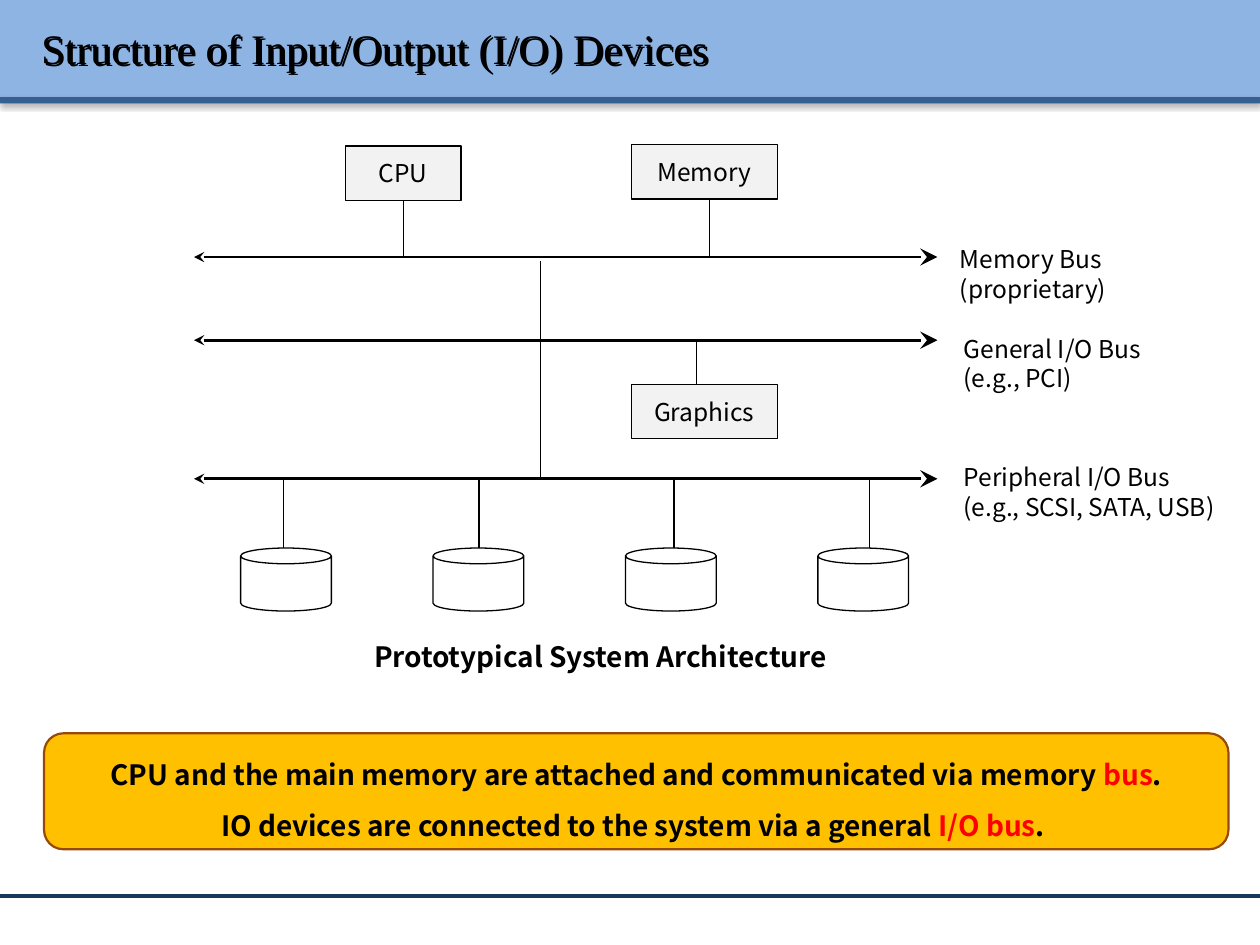
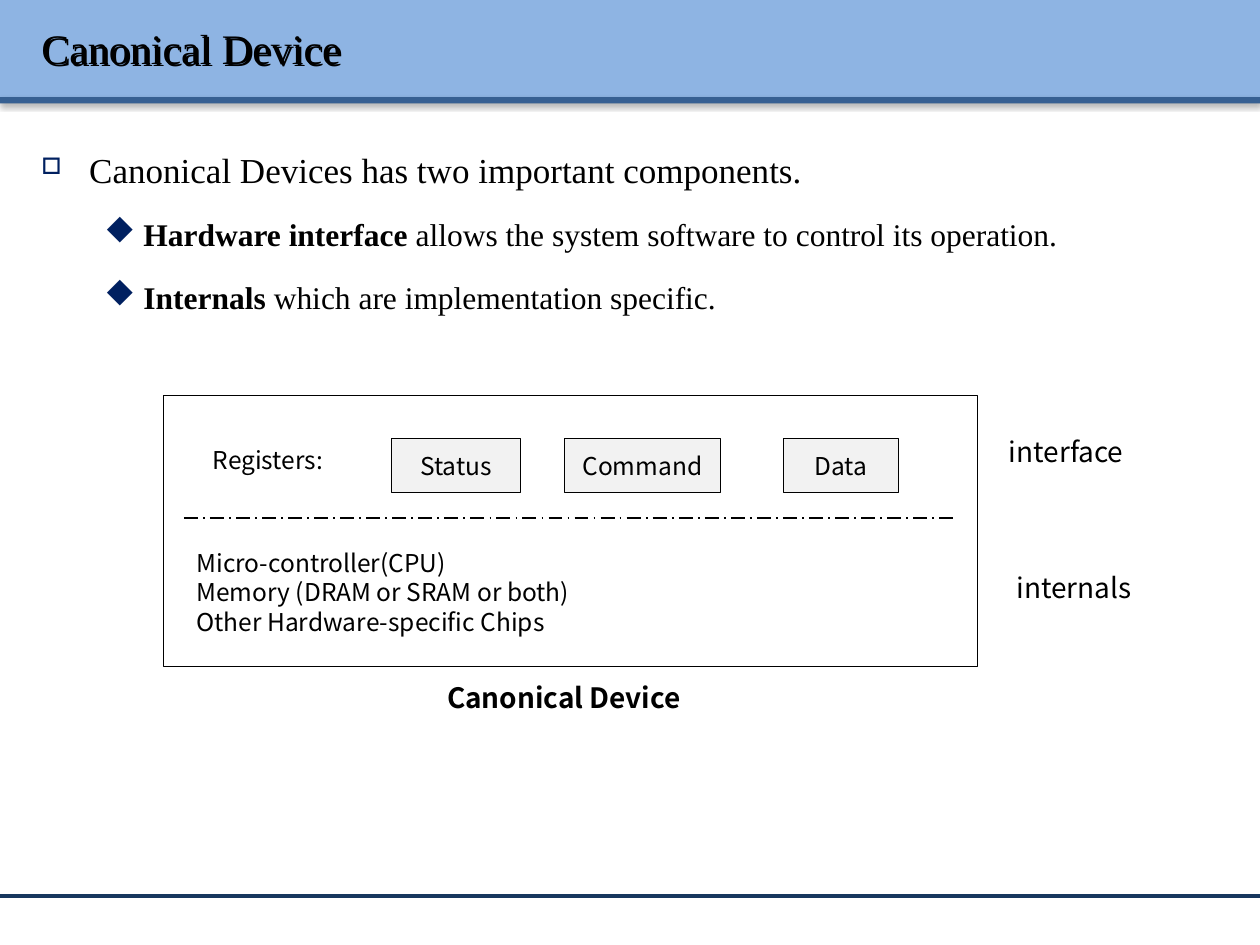
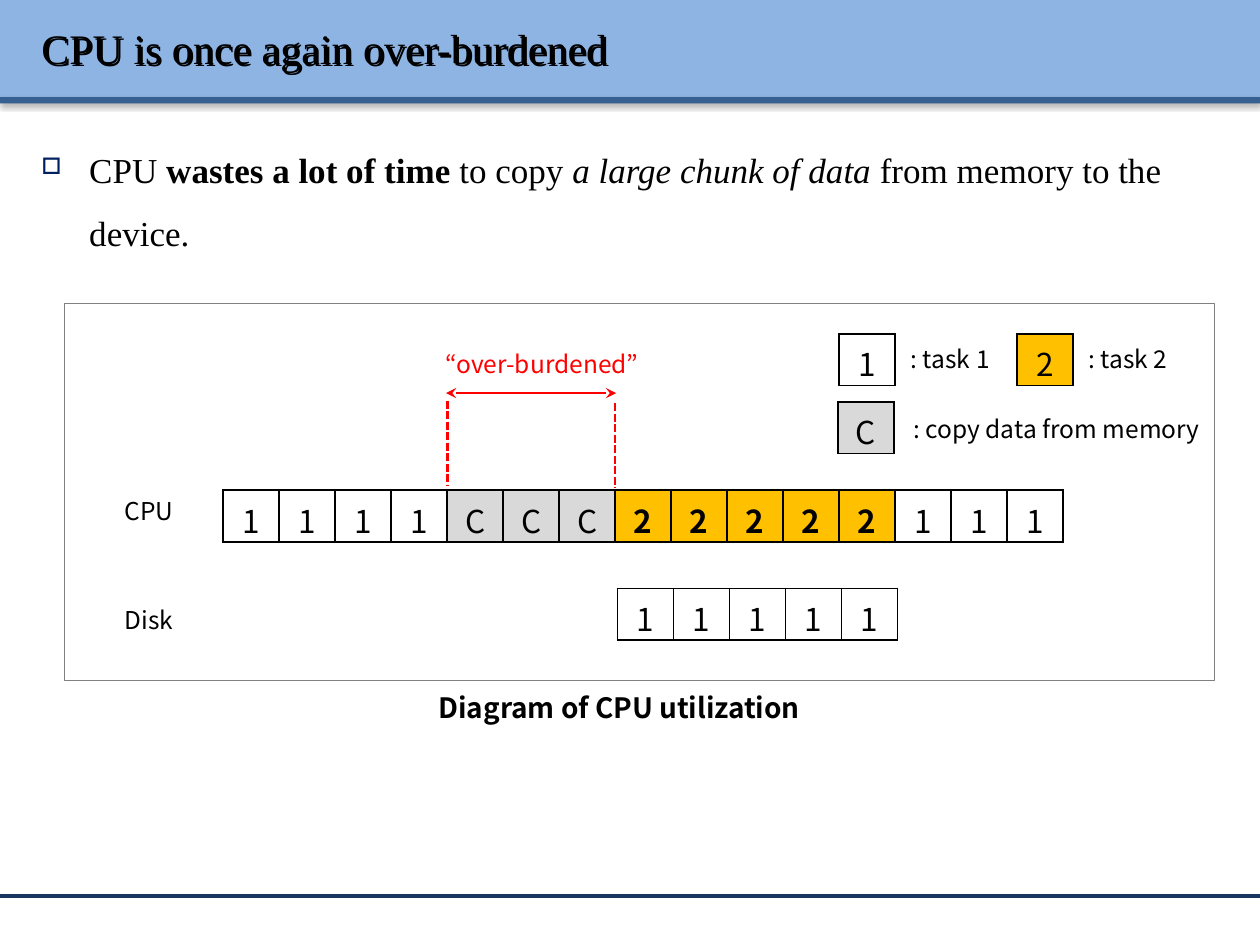
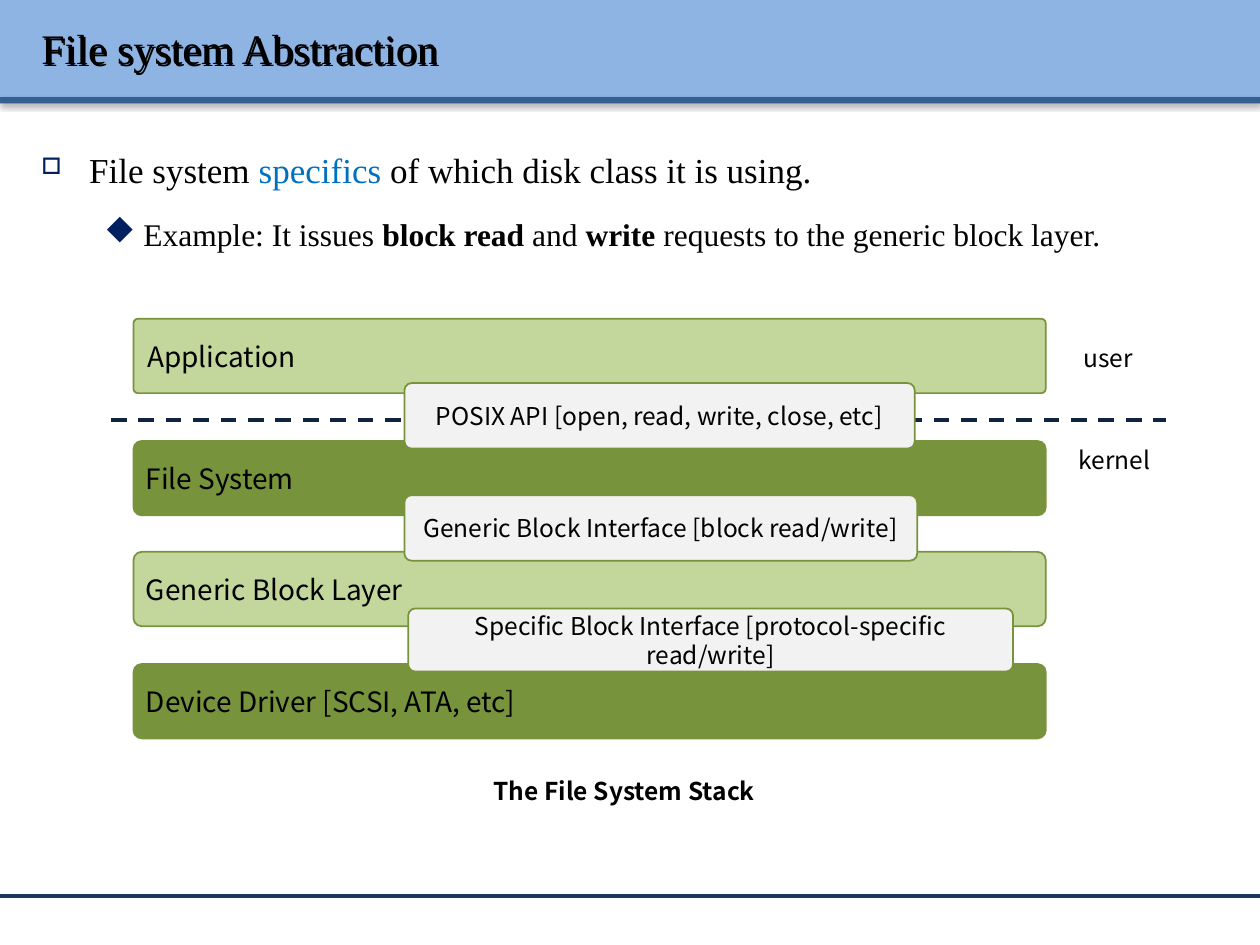
import lxml.etree
import pptx
import pptx.dml.color
import pptx.enum.dml
import pptx.enum.lang
import pptx.enum.shapes
import pptx.enum.text
import pptx.oxml
import pptx.oxml.ns
import pptx.util

Inches = pptx.util.Inches
Pt = pptx.util.Pt
SHAPE = pptx.enum.shapes.MSO_SHAPE
DASH = pptx.enum.dml.MSO_LINE
ALIGN = pptx.enum.text.PP_ALIGN
ANCHOR = pptx.enum.text.MSO_ANCHOR
ENGLISH = pptx.enum.lang.MSO_LANGUAGE_ID.ENGLISH_US
qn = pptx.oxml.ns.qn

SANS = "Noto Sans CJK KR"
SERIF = "Times New Roman"
SYMBOLS = "Wingdings"
COLORS = {
    "black": "000000",
    "white": "FFFFFF",
    "band": "8EB4E3",
    "band_edge": "376092",
    "footer": "17375E",
    "bullet": "002060",
    "box": "F2F2F2",
    "amber": "FFC000",
    "brown": "984807",
    "red": "FF0000",
    "blue": "0070C0",
    "copy": "D9D9D9",
    "frame": "808080",
    "light_green": "C3D69B",
    "green": "77933C",
    "boundary": "0F243E",
}
# Symbol font character (o: hollow square, u: diamond), size in percent,
# left margin, hanging indent, font size
LEVELS = [("o", 65, 0.38, 0.38, 20), ("u", 100, 0.81, 0.31, 18)]
TASK_FILLS = {"1": None, "2": "amber", "C": "copy"}
TASK_WIDTH = 6.67 / 15


def rgb(color):
    return pptx.dml.color.RGBColor.from_string(COLORS[color])


def add_xml(parent, tag, **attributes):
    return lxml.etree.SubElement(parent, qn(tag), {k: str(v) for k, v in attributes.items()})


def add_shadow(shape, blur, distance, angle, opacity):
    """Give a shape, or the text of an unfilled one, a shadow (points, degrees, percent)."""
    shape.shadow.inherit = False
    effects = shape._element.spPr.find(qn("a:effectLst"))
    shadow = add_xml(effects, "a:outerShdw", blurRad=Pt(blur), dist=Pt(distance),
                     dir=angle * 60000, algn="tl", rotWithShape=0)
    black = add_xml(shadow, "a:srgbClr", val=COLORS["black"])
    add_xml(black, "a:alpha", val=opacity * 1000)


def style_font(font, name, size, color, bold=False):
    font.name, font.size, font.bold = name, Pt(size), bold
    font.color.rgb = rgb(color)
    font.language_id = ENGLISH


def add_runs(paragraph, runs):
    """Add plain strings or (text, style) pairs; style may set bold, italic and color."""
    for part in [runs] if isinstance(runs, str) else runs:
        words, style = (part, {}) if isinstance(part, str) else part
        run = paragraph.add_run()
        run.text = words
        if "color" in style:
            run.font.color.rgb = rgb(style["color"])
        if "bold" in style:
            run.font.bold = style["bold"]
        if "italic" in style:
            run.font.italic = style["italic"]


def next_paragraph(frame, index):
    return frame.paragraphs[0] if index == 0 else frame.add_paragraph()


def write(frame, paragraphs, size, name=SANS, color="black", bold=False,
          align=ALIGN.LEFT, spacing=None):
    frame.word_wrap = True
    for index, runs in enumerate(paragraphs):
        paragraph = next_paragraph(frame, index)
        paragraph.alignment = align
        if spacing:
            paragraph.line_spacing = spacing
        style_font(paragraph.font, name, size, color, bold)
        add_runs(paragraph, runs)


def add_label(slide, at, *lines, size=14, **style):
    label = slide.shapes.add_textbox(*map(Inches, at))
    write(label.text_frame, lines, size, **style)
    label.text_frame.auto_size = pptx.enum.text.MSO_AUTO_SIZE.SHAPE_TO_FIT_TEXT


def add_caption(slide, at, words, size=16, align=ALIGN.CENTER):
    add_label(slide, at, words, size=size, bold=True, align=align)


def add_block(slide, kind, at, fill=None, line=None, width=0.75, corner=None):
    block = slide.shapes.add_shape(kind, *map(Inches, at))
    block.shadow.inherit = False
    if fill:
        block.fill.solid()
        block.fill.fore_color.rgb = rgb(fill)
    else:
        block.fill.background()
    if line:
        block.line.color.rgb = rgb(line)
        block.line.width = Pt(width)
    else:
        block.line.fill.background()
    if corner is not None:
        block.adjustments[0] = corner
    return block


def write_inside(block, paragraphs, size, side, **style):
    """Write vertically centred text with the given left and right inset."""
    frame = block.text_frame
    frame.vertical_anchor = ANCHOR.MIDDLE
    frame.margin_left = frame.margin_right = Inches(side)
    write(frame, paragraphs, size, **style)


def add_component(slide, at, name):
    component = add_block(slide, SHAPE.RECTANGLE, at, "box", "black")
    write_inside(component, [name], 14, 0, align=ALIGN.CENTER)
    return component


def add_line(slide, start, end, width, color="black", dash=None, arrows=False,
             tail_size="med"):
    line = slide.shapes.add_connector(pptx.enum.shapes.MSO_CONNECTOR.STRAIGHT,
                                      *map(Inches, start + end))
    line.line.color.rgb = rgb(color)
    line.line.width = Pt(width)
    if dash:
        line.line.dash_style = dash
    if arrows:
        stroke = line.line._get_or_add_ln()
        add_xml(stroke, "a:headEnd", type="stealth")
        add_xml(stroke, "a:tailEnd", type="stealth", w=tail_size, len=tail_size)
    add_xml(line._element.spPr, "a:effectLst")
    return line


def add_cell_borders(cell):
    properties = cell._tc.get_or_add_tcPr()
    for index, tag in enumerate(("a:lnL", "a:lnR", "a:lnT", "a:lnB")):
        border = add_xml(properties, tag, w=Pt(1))
        add_xml(add_xml(border, "a:solidFill"), "a:srgbClr", val=COLORS["black"])
        properties.insert(index, border)


def add_timeline(slide, left, top, tasks, bold_task=None):
    """Draw one table row with a cell for each character of tasks."""
    table = slide.shapes.add_table(1, len(tasks), Inches(left), Inches(top),
                                   Inches(TASK_WIDTH * len(tasks)), Inches(0.41)).table
    table.first_row = table.horz_banding = False
    for column, task in enumerate(tasks):
        table.columns[column].width = Inches(TASK_WIDTH)
        cell = table.cell(0, column)
        if TASK_FILLS[task]:
            cell.fill.solid()
            cell.fill.fore_color.rgb = rgb(TASK_FILLS[task])
        else:
            cell.fill.background()
        add_cell_borders(cell)
        write(cell.text_frame, [task], 18, bold=task == bold_task, align=ALIGN.CENTER)


def add_bullets(slide, *items):
    """Write the body text; each item is a (level, runs) pair."""
    body = slide.shapes.add_textbox(*map(Inches, (0.23, 0.96, 9.61, 4.6)))
    body.text_frame.word_wrap = True
    for index, (level, runs) in enumerate(items):
        character, percent, margin, hanging, size = LEVELS[level]
        paragraph = next_paragraph(body.text_frame, index)
        paragraph.level = level
        paragraph.line_spacing = 1.5
        paragraph.space_before = Pt(0.2 * size)
        properties = paragraph._p.get_or_add_pPr()
        properties.set("marL", str(Inches(margin)))
        properties.set("indent", str(-Inches(hanging)))
        add_xml(add_xml(properties, "a:buClr"), "a:srgbClr", val=COLORS["bullet"])
        add_xml(properties, "a:buSzPct", val=percent * 1000)
        add_xml(properties, "a:buFont", typeface=SYMBOLS, pitchFamily=2, charset=2)
        add_xml(properties, "a:buChar", char=character)
        style_font(paragraph.font, SERIF, size, "black")
        add_runs(paragraph, runs)


def add_titled_slide(deck, title):
    slide = deck.slides.add_slide(deck.slide_layouts[6])
    for top, height, color in ((0, 0.77, "band"), (0.77, 0.05, "band_edge")):
        band = add_block(slide, SHAPE.RECTANGLE, (0, top, 10, height), color)
        add_shadow(band, 3.1, 1.6, 90, 38)
    add_line(slide, (0, 7.11), (10, 7.11), 2, "footer")
    heading = slide.shapes.add_textbox(*map(Inches, (0.23, 0.06, 9.61, 0.64)))
    heading.text_frame.vertical_anchor = ANCHOR.MIDDLE
    write(heading.text_frame, [title], 24, name=SERIF)
    add_shadow(heading, 0, 1.5, 45, 100)
    return slide


def build_io_structure(deck):
    slide = add_titled_slide(deck, "Structure of Input/Output (I/O) Devices")
    memory_bus, general_bus, peripheral_bus = 2.04, 2.7, 3.8

    cpu = add_component(slide, (2.74, 1.16, 0.92, 0.43), "CPU")
    add_component(slide, (5.01, 1.15, 1.16, 0.43), "Memory")
    for y in (memory_bus, general_bus, peripheral_bus):
        add_line(slide, (1.54, y), (7.44, y), 1.5, arrows=True, tail_size="lg")

    cpu_link = add_line(slide, (3.2, 1.59), (3.2, 2.03), 0.5)
    cpu_link.begin_connect(cpu, 2)
    add_line(slide, (5.63, 1.59), (5.63, 2.03), 0.5)
    add_line(slide, (4.29, 2.07), (4.29, general_bus), 0.5)
    add_line(slide, (4.29, general_bus), (4.29, peripheral_bus), 1)
    add_line(slide, (5.53, general_bus), (5.53, 3.25), 0.5)
    add_component(slide, (5.01, 3.05, 1.16, 0.43), "Graphics")

    for disk in range(4):
        add_block(slide, SHAPE.CAN, (1.91 + 1.527 * disk, 4.35, 0.72, 0.5), "white", "black")
        link = 2.25 + 1.55 * disk
        add_line(slide, (link, peripheral_bus), (link, 4.35), 1)

    add_caption(slide, (2.87, 5.03, 3.88, 0.37), "Prototypical System Architecture",
                align=ALIGN.LEFT)
    add_label(slide, (7.52, 1.89, 1.6, 0.57), "Memory Bus", "(proprietary)")
    add_label(slide, (7.55, 2.6, 1.81, 0.57), "General I/O Bus", "(e.g., PCI)")
    add_label(slide, (7.55, 3.62, 2.2, 0.57), "Peripheral I/O Bus", "(e.g., SCSI, SATA, USB)")

    summary = add_block(slide, SHAPE.ROUNDED_RECTANGLE, (0.35, 5.82, 9.4, 0.92),
                        "amber", "brown", 1.25)
    red = {"color": "red"}
    write_inside(summary, [
        ["CPU and the main memory are attached and communicated via memory ", ("bus", red), "."],
        ["IO devices are connected to the system via a general ", ("I/O bus", red), ". "],
    ], 16, 0.12, bold=True, align=ALIGN.CENTER, spacing=1.5)


def build_canonical_device(deck):
    slide = add_titled_slide(deck, "Canonical Device")
    bold = {"bold": True}
    add_bullets(
        slide,
        (0, "Canonical Devices has two important components."),
        (1, [("Hardware interface", bold),
             " allows the system software to control its operation."]),
        (1, [("Internals", bold), " which are implementation specific."]),
    )
    add_block(slide, SHAPE.RECTANGLE, (1.3, 3.14, 6.46, 2.15), line="black")
    add_label(slide, (1.59, 3.48, 1.6, 0.34), "Registers:")
    for register, left, width in (("Status", 3.11, 1.02), ("Command", 4.48, 1.24),
                                  ("Data", 6.22, 0.91)):
        add_component(slide, (left, 3.48, width, 0.43), register)
    add_line(slide, (1.46, 4.11), (7.6, 4.11), 1, dash=DASH.LONG_DASH_DOT)
    add_label(slide, (1.46, 4.3, 4.25, 0.81), "Micro-controller(CPU)",
              "Memory (DRAM or SRAM or both)", "Other Hardware-specific Chips")
    add_label(slide, (7.91, 3.4, 1.6, 0.37), "interface", size=16)
    add_label(slide, (7.97, 4.48, 1.6, 0.37), "internals", size=16)
    add_caption(slide, (3.19, 5.35, 2.62, 0.37), "Canonical Device ")


def build_cpu_utilization(deck):
    slide = add_titled_slide(deck, "CPU is once again over-burdened")
    add_bullets(slide, (0, [
        "CPU ", ("wastes a lot of time ", {"bold": True}), "to copy ",
        ("a large chunk of data ", {"italic": True}), "from memory to the device.",
    ]))
    add_timeline(slide, 1.77, 3.89, "1111CCC22222111", bold_task="2")
    add_timeline(slide, 4.9, 4.67, "11111")
    add_label(slide, (0.89, 3.89, 0.8, 0.34), "CPU")
    add_label(slide, (0.89, 4.75, 0.8, 0.34), "Disk")

    for x, top in ((3.55, 3.18), (4.88, 3.2)):
        add_line(slide, (x, top), (x, top + 0.67), 1.5, "red", DASH.SQUARE_DOT)
    add_line(slide, (3.54, 3.12), (4.89, 3.12), 1.5, "red", arrows=True)
    add_label(slide, (3.44, 2.72, 1.8, 0.34), "“over-burdened”", color="red")

    add_timeline(slide, 6.66, 2.65, "1")
    add_label(slide, (7.13, 2.68, 1.34, 0.34), ": task 1")
    add_timeline(slide, 8.07, 2.65, "2")
    add_label(slide, (8.54, 2.68, 0.87, 0.34), ": task 2")
    add_timeline(slide, 6.65, 3.19, "C")
    add_label(slide, (7.15, 3.24, 2.66, 0.34), ": copy data from memory")
    add_block(slide, SHAPE.RECTANGLE, (0.51, 2.41, 9.13, 2.99), line="frame")
    add_caption(slide, (2.24, 5.43, 5.35, 0.37), "Diagram of CPU utilization")


def build_file_system(deck):
    slide = add_titled_slide(deck, "File system Abstraction")
    bold = {"bold": True}
    add_bullets(
        slide,
        (0, ["File system ", ("specifics", {"color": "blue"}),
             " of which disk class it is using."]),
        (1, ["Example: It issues ", ("block read ", bold), "and ", ("write", bold),
             " requests to the generic block layer."]),
    )
    layers = (
        ("Application", 2.53, "light_green", 0.06),
        ("File System", 3.5, "green", 0.11),
        ("Generic Block Layer", 4.38, "light_green", 0.11),
        ("Device Driver [SCSI, ATA, etc]", 5.27, "green", 0.11),
    )
    for name, top, fill, corner in layers:
        layer = add_block(slide, SHAPE.ROUNDED_RECTANGLE, (1.06, top, 7.24, 0.59),
                          fill, "green", 1, corner)
        write_inside(layer, [name], 16, 0.1 if name == "Application" else 0.08)

    add_line(slide, (0.88, 3.33), (9.25, 3.33), 2.25, "boundary", DASH.DASH)
    interfaces = (
        ("Specific Block Interface [protocol-specific read/write]", (3.24, 4.83, 4.8, 0.5)),
        ("Generic Block Interface [block read/write]", (3.21, 3.93, 4.07, 0.52)),
        ("POSIX API [open, read, write, close, etc]", (3.21, 3.04, 4.05, 0.52)),
    )
    for name, at in interfaces:
        interface = add_block(slide, SHAPE.ROUNDED_RECTANGLE, at, "box", "green", 1, 0.11)
        write_inside(interface, [name], 14, 0.08, align=ALIGN.CENTER)

    add_label(slide, (8.31, 2.67, 0.97, 0.34), "user", align=ALIGN.CENTER)
    add_label(slide, (8.36, 3.48, 0.97, 0.34), "kernel", align=ALIGN.CENTER)
    add_caption(slide, (2.24, 6.11, 5.43, 0.34), "The File System Stack", size=14)


def main():
    deck = pptx.Presentation()
    deck.slide_width, deck.slide_height = Inches(10), Inches(7.5)
    build_io_structure(deck)
    build_canonical_device(deck)
    build_cpu_utilization(deck)
    build_file_system(deck)
    deck.save("out.pptx")


if __name__ == "__main__":
    main()
